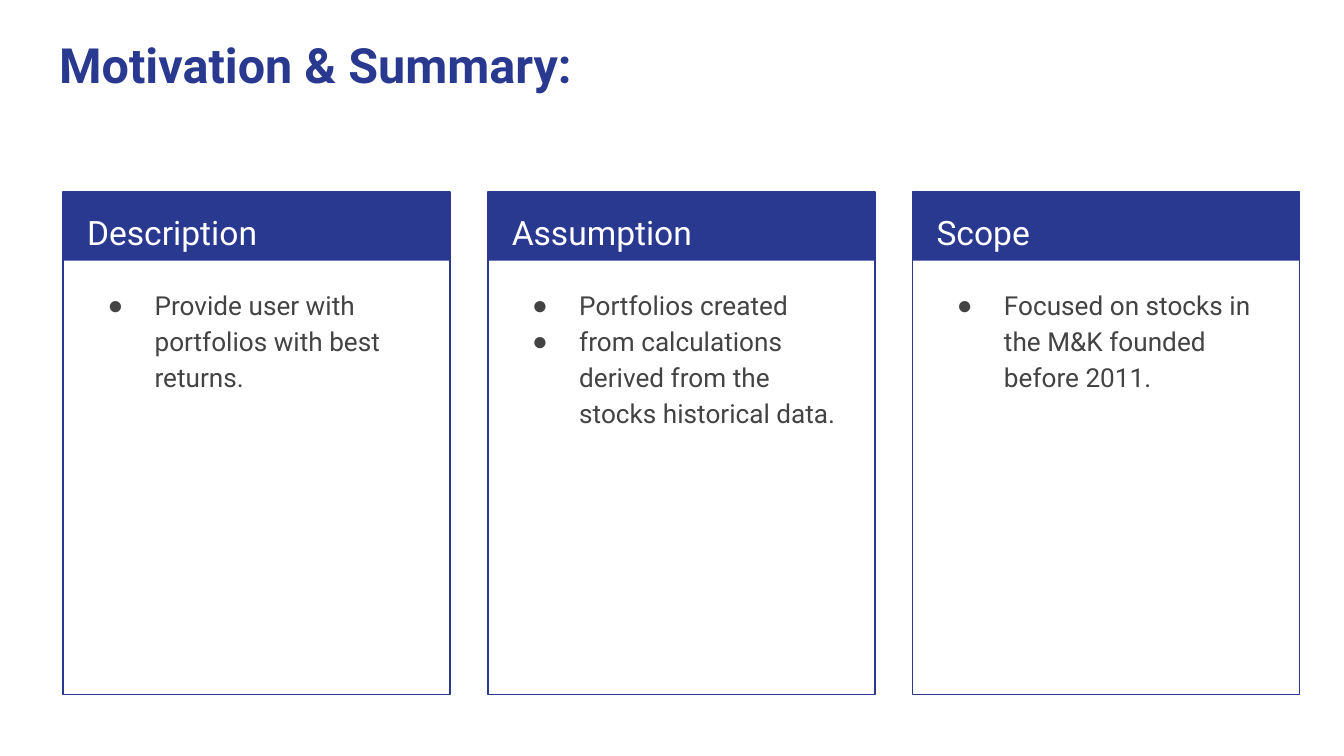
from pptx import Presentation
from pptx.dml.color import RGBColor
from pptx.enum.shapes import MSO_SHAPE
from pptx.enum.text import MSO_ANCHOR, MSO_AUTO_SIZE, PP_ALIGN
from pptx.util import Inches, Pt
from lxml import etree

RECT = MSO_SHAPE.RECTANGLE
TOP, MIDDLE = MSO_ANCHOR.TOP, MSO_ANCHOR.MIDDLE
LEFT = PP_ALIGN.LEFT
NO_FIT = MSO_AUTO_SIZE.NONE
NS = "{http://schemas.openxmlformats.org/drawingml/2006/main}"
BLUE, WHITE, GREY = "2A3990", "FFFFFF", "434343"


def rgb(value):
    return RGBColor.from_string(value)


def write(sp, box, lines, size, color, bold=False, anchor=TOP, spacing=1.15):
    sp.left, sp.top, sp.width, sp.height = [Inches(v) for v in box]
    tf = sp.text_frame
    tf.text = "\n".join(lines)
    tf.word_wrap = True
    tf.auto_size = NO_FIT
    tf.vertical_anchor = anchor
    tf.margin_left = tf.margin_right = Inches(0.1)
    tf.margin_top = tf.margin_bottom = Inches(0.1)
    for p in tf.paragraphs:
        p.alignment = LEFT
        p.line_spacing = spacing
        p.space_before = Pt(0)
        p.font.name = "Roboto"
        p.font.size = Pt(size)
        p.font.bold = bold
        p.font.color.rgb = rgb(color)
    return tf


prs = Presentation()
prs.slide_width, prs.slide_height = Inches(10), Inches(10 * 9 / 16)
s = prs.slides.add_slide(prs.slide_layouts.get_by_name("Comparison"))
title, *bodies = s.placeholders
write(title, (0.34, 0.15, 9.32, 0.65), ["Motivation & Summary:"], 26, BLUE,
      bold=True, anchor=MIDDLE, spacing=1.0)

columns = [
    ("Description", ["Provide user with portfolios with best returns."]),
    ("Assumption", ["Portfolios created",
                    "from calculations derived from the stocks historical data."]),
    ("Scope", ["Focused on stocks in the M&K founded before 2011."]),
]

for i, (heading, items) in enumerate(columns):
    x = 0.47 + 3.16 * i

    band = s.shapes.add_shape(RECT, Inches(x), Inches(1.43), Inches(2.88), Inches(0.51))
    band.fill.solid()
    band.fill.fore_color.rgb = rgb(BLUE)
    band.line.fill.background()
    band.shadow.inherit = False

    frame = s.shapes.add_shape(RECT, Inches(x), Inches(1.43), Inches(2.88), Inches(3.74))
    frame.fill.background()
    frame.line.color.rgb = rgb(BLUE)
    frame.line.width = Pt(0.75)
    frame.shadow.inherit = False

    label = s.shapes.add_textbox(0, 0, 0, 0)
    write(label, (x + 0.08, 1.43, 2.73, 0.5), [heading], 18, WHITE)

    tf = write(bodies[i], (x + 0.08, 2.02, 2.71, 3.06), items, 14, GREY)
    for p in tf.paragraphs:
        pPr = p._p.get_or_add_pPr()
        pPr.set("marL", str(Inches(0.5)))
        pPr.set("indent", str(Inches(-0.35)))
        bullet_color = etree.Element(NS + "buClr")
        etree.SubElement(bullet_color, NS + "srgbClr", val=GREY)
        bullet = etree.Element(NS + "buChar", char="●")
        run_defaults = pPr.find(NS + "defRPr")
        run_defaults.addprevious(bullet_color)
        run_defaults.addprevious(bullet)

for sp in bodies[len(columns):]:
    sp.element.getparent().remove(sp.element)

prs.save("out.pptx")
